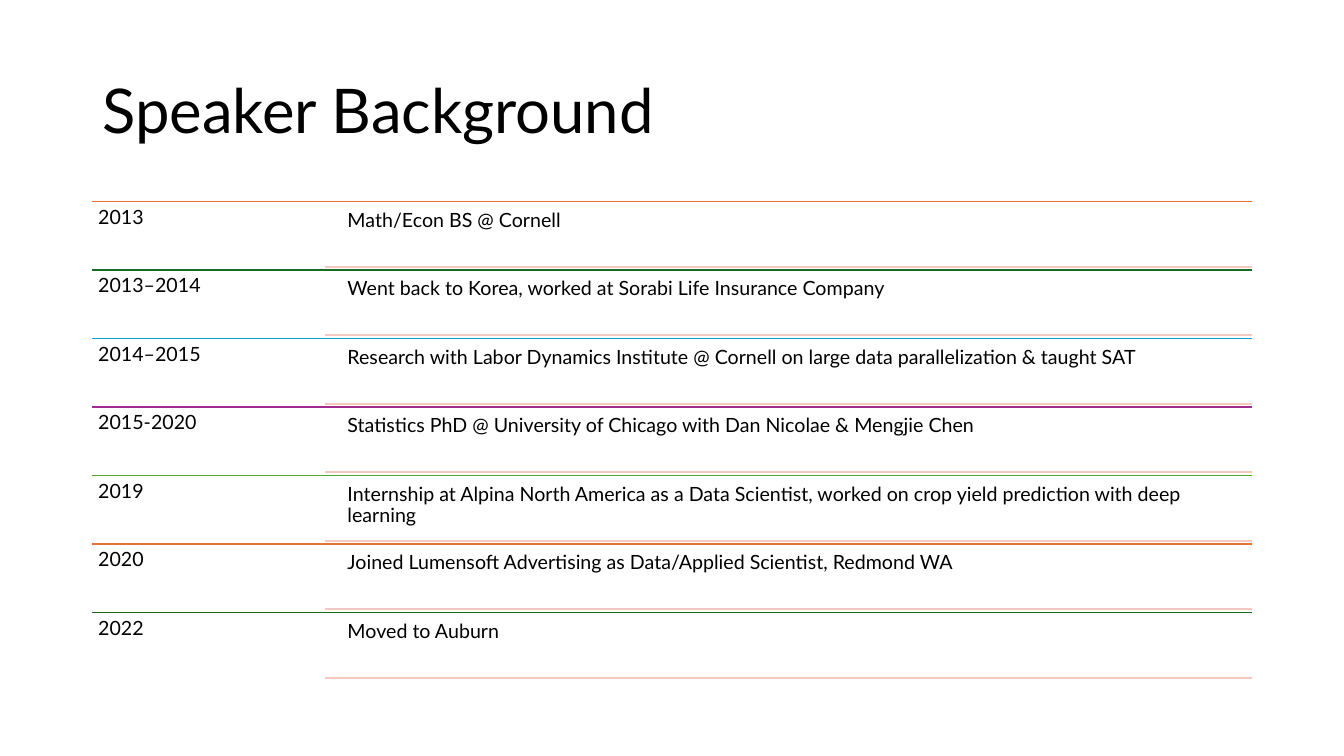
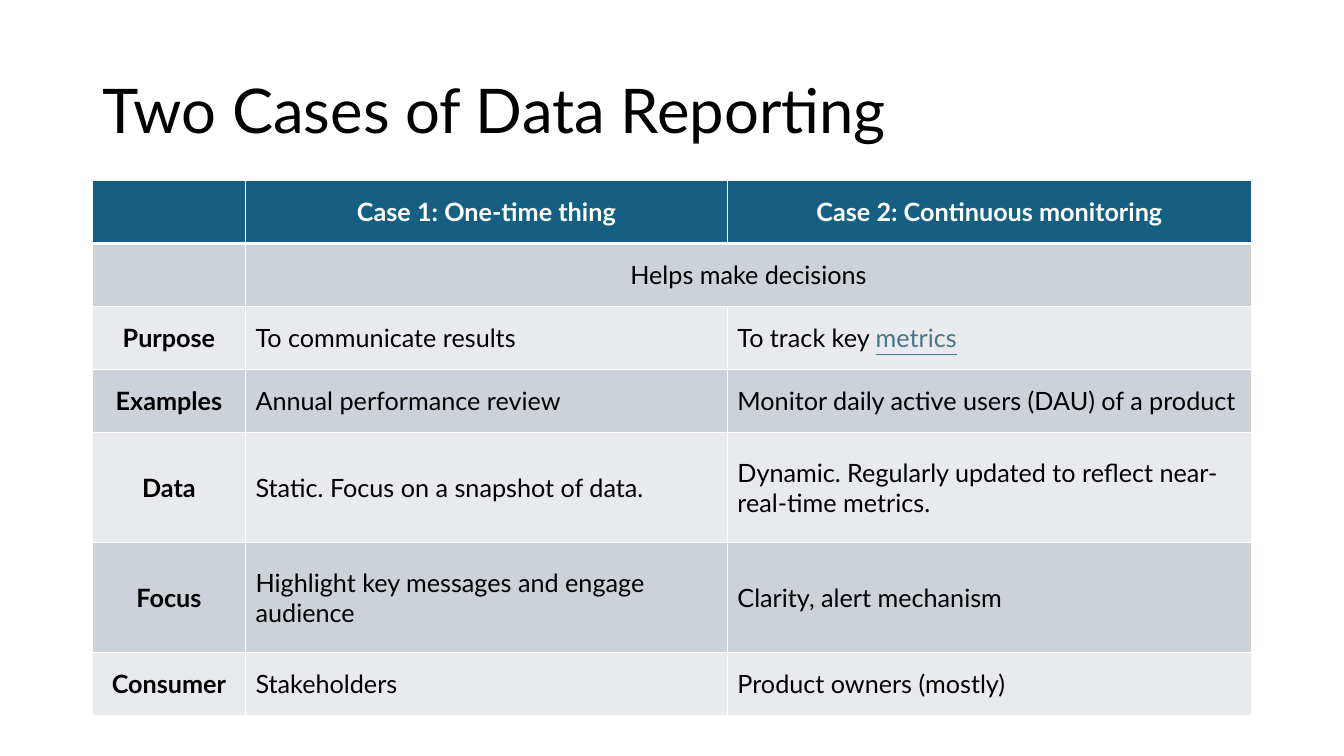
from itertools import cycle

from lxml import etree
from pptx import Presentation
from pptx.dml.color import RGBColor
from pptx.enum import shapes, text
from pptx.oxml import ns
from pptx.util import Pt

FONT = "Lato"
BLACK, WHITE, LINK = "000000", "FFFFFF", "467886"
HEADER, BANDS = "156082", ("CCD2D8", "E8EAED")
ACCENTS = ("E97132", "196B24", "0F9ED5", "A02B93", "4EA72E")
RULE = "F4C9BF"
LEFT, WIDTH = 66, 828

CAREER = [
    ("2013", "Math/Econ BS @ Cornell"),
    ("2013–2014", "Went back to Korea, worked at Sorabi Life Insurance Company"),
    ("2014–2015", "Research with Labor Dynamics Institute @ Cornell on large data "
                  "parallelization & taught SAT"),
    ("2015-2020", "Statistics PhD @ University of Chicago with Dan Nicolae & Mengjie Chen"),
    ("2019", "Internship at Alpina North America as a Data Scientist, worked on crop "
             "yield prediction with deep learning"),
    ("2020", "Joined Lumensoft Advertising as Data/Applied Scientist, Redmond WA"),
    ("2022", "Moved to Auburn"),
]
CAREER_TOP, CAREER_STEP = 144, 48.9
DETAIL_LEFT, RULE_LEFT = 244, 232

# A cell given as a tuple ends in a linked word; None continues the cell before it.
CASES = [
    ("", "Case 1: One-time thing", "Case 2: Continuous monitoring"),
    ("", "Helps make decisions", None),
    ("Purpose", "To communicate results", ("To track key ", "metrics")),
    ("Examples", "Annual performance review", "Monitor daily active users (DAU) of a product"),
    ("Data", "Static. Focus on a snapshot of data.",
     "Dynamic. Regularly updated to reflect near-real-time metrics."),
    ("Focus", "Highlight key messages and engage audience", "Clarity, alert mechanism"),
    ("Consumer", "Stakeholders", "Product owners (mostly)"),
]
CASES_TOP = 129
COLUMN_WIDTHS = (109.4, 344.2, 374.4)
ROW_HEIGHTS = (45, 45, 45, 45, 78.5, 78.5, 45)


def rgb(color):
    return RGBColor.from_string(color)


def set_font(font, size, color=BLACK, bold=False):
    font.name, font.size, font.bold = FONT, Pt(size), bold
    font.color.rgb = rgb(color)


def place(shape, left, top, width, height):
    shape.left, shape.top, shape.width, shape.height = map(Pt, (left, top, width, height))


def add_titled_slide(deck, heading):
    slide = deck.slides.add_slide(deck.slide_layouts.get_by_name("Title Only"))
    title = slide.shapes.title
    place(title, LEFT, 28.8, WIDTH, 104.4)
    frame = title.text_frame
    frame.text = heading
    frame.auto_size = text.MSO_AUTO_SIZE.NONE
    frame.vertical_anchor = text.MSO_ANCHOR.MIDDLE
    line = frame.paragraphs[0]
    line.alignment, line.line_spacing = text.PP_ALIGN.LEFT, 0.9
    set_font(line.font, 44)
    return slide


def add_rule(slide, left, top, color, weight):
    """Draw a horizontal line from left to the right margin."""
    rule = slide.shapes.add_connector(
        shapes.MSO_CONNECTOR.STRAIGHT, Pt(left), Pt(top), Pt(LEFT + WIDTH), Pt(top))
    rule.line.color.rgb = rgb(color)
    rule.line.width = Pt(weight)
    etree.SubElement(rule._element.spPr, ns.qn("a:effectLst"))


def add_entry(slide, words, left, top, width, height):
    frame = slide.shapes.add_textbox(*map(Pt, (left, top, width, height))).text_frame
    frame.word_wrap = True
    frame.margin_left = frame.margin_right = frame.margin_top = frame.margin_bottom = Pt(4.2)
    frame.text = words
    line = frame.paragraphs[0]
    line.line_spacing = 0.9
    set_font(line.font, 14)


def set_borders(cell, top, bottom):
    """Give the cell white borders; top and bottom are their weights."""
    properties = cell._tc.get_or_add_tcPr()
    for side, weight in (("L", 1), ("R", 1), ("T", top), ("B", bottom)):
        border = etree.SubElement(properties, ns.qn(f"a:ln{side}"), w=str(Pt(weight)))
        fill = etree.SubElement(border, ns.qn("a:solidFill"))
        etree.SubElement(fill, ns.qn("a:srgbClr"), val=WHITE)


def fill_cell(cell, words, row, column):
    is_header = row == 0
    set_borders(cell, 3 if row == 1 else 1, 3 if is_header else 1)
    cell.fill.solid()
    cell.fill.fore_color.rgb = rgb(HEADER if is_header else BANDS[(row - 1) % 2])
    cell.vertical_anchor = text.MSO_ANCHOR.MIDDLE
    line = cell.text_frame.paragraphs[0]
    centred = row < 2 or column == 0
    line.alignment = text.PP_ALIGN.CENTER if centred else text.PP_ALIGN.LEFT
    set_font(line.font, 18, WHITE if is_header else BLACK, is_header or column == 0)
    plain, *linked = words if isinstance(words, tuple) else (words,)
    if plain:
        line.add_run().text = plain
    for word in linked:
        run = line.add_run()
        run.text = word
        run.font.underline = True
        run.font.color.rgb = rgb(LINK)


def build_background(deck):
    slide = add_titled_slide(deck, "Speaker Background")
    for index, ((years, detail), accent) in enumerate(zip(CAREER, cycle(ACCENTS))):
        top = CAREER_TOP + index * CAREER_STEP
        add_rule(slide, LEFT, top, accent, 1)
        add_entry(slide, years, LEFT, top, 165.6, CAREER_STEP)
        add_entry(slide, detail, DETAIL_LEFT, top + 2.2, LEFT + WIDTH - DETAIL_LEFT, 44.5)
        add_rule(slide, RULE_LEFT, top + 46.7, RULE, 1.5)


def build_cases(deck):
    slide = add_titled_slide(deck, "Two Cases of Data Reporting")
    table = slide.shapes.add_table(
        len(CASES), len(COLUMN_WIDTHS), Pt(LEFT), Pt(CASES_TOP), Pt(WIDTH),
        Pt(sum(ROW_HEIGHTS))).table
    for column, width in zip(table.columns, COLUMN_WIDTHS):
        column.width = Pt(width)
    for row, height in zip(table.rows, ROW_HEIGHTS):
        row.height = Pt(height)
    for row, entries in enumerate(CASES):
        for column, words in enumerate(entries):
            cell = table.cell(row, column)
            fill_cell(cell, words or "", row, column)
            if words is None:
                table.cell(row, column - 1).merge(cell)


def main():
    deck = Presentation()
    deck.slide_width, deck.slide_height = Pt(960), Pt(540)
    build_background(deck)
    build_cases(deck)
    deck.save("out.pptx")


if __name__ == "__main__":
    main()
